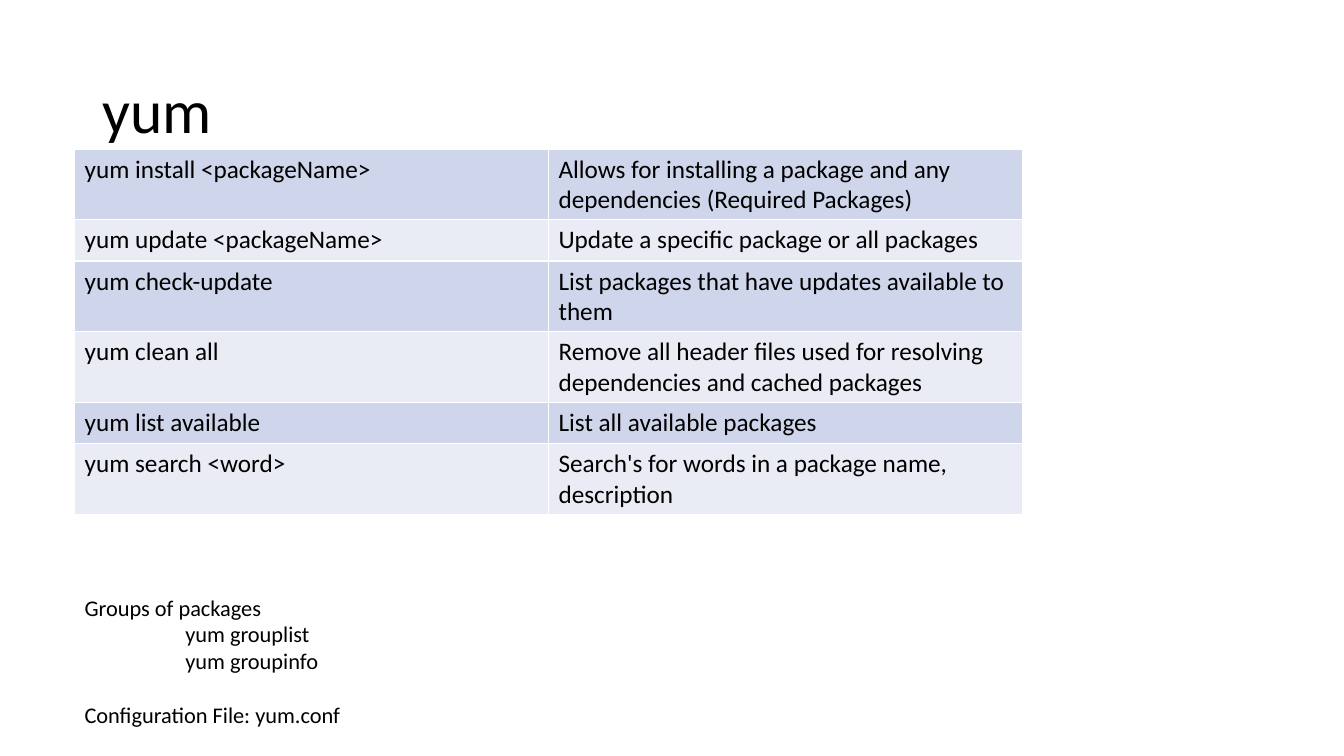
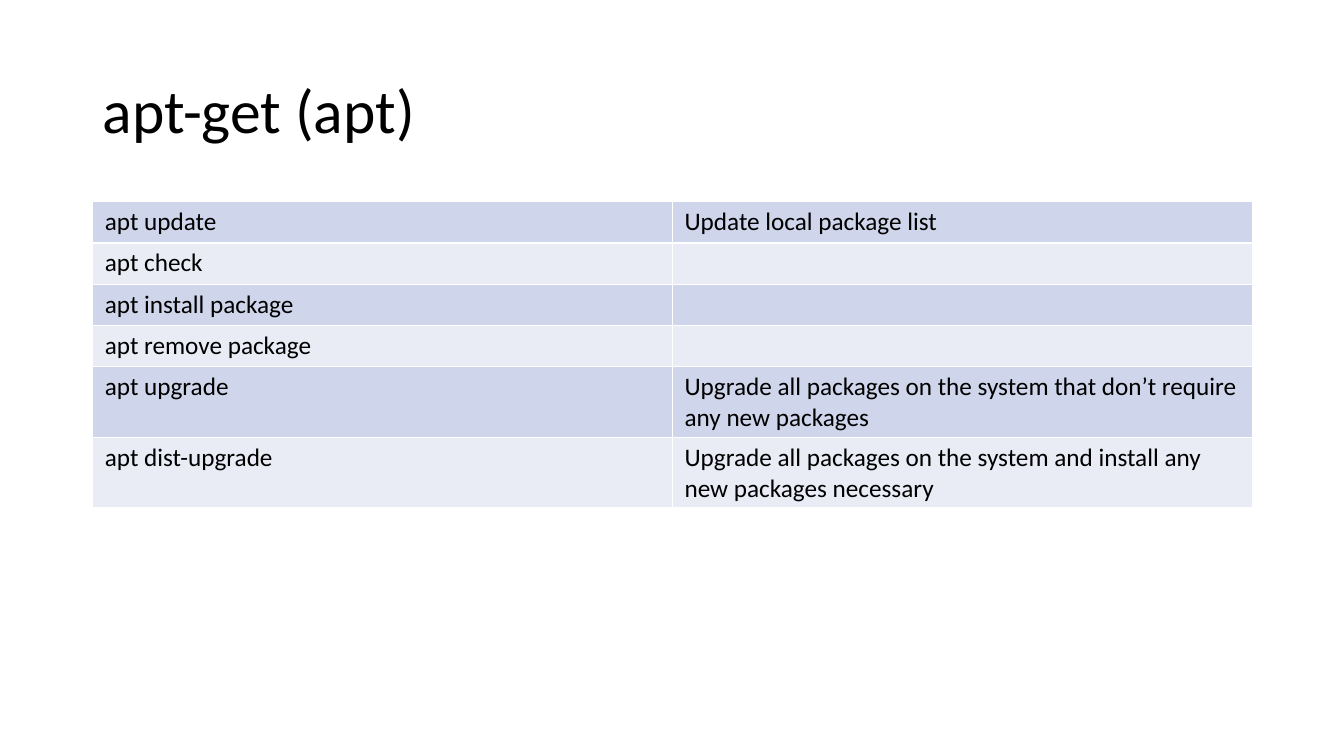
from lxml.etree import SubElement as Sub
from pptx import Presentation as Deck
from pptx.dml.color import RGBColor as Color
from pptx.enum.text import MSO_ANCHOR as Anchor
from pptx.oxml.ns import qn
from pptx.util import Pt

SCALE = 9144


def px(size):
    return size * SCALE


def tint(code):
    return Color.from_string(code)


class Page:
    font = "Calibri"
    ink = "000000"
    rule = "FFFFFF"
    bands = ("CFD5EA", "E9EBF5")
    row = 41

    def __init__(self):
        self.deck = Deck()
        self.deck.slide_width = px(1333)
        self.deck.slide_height = px(750)
        self.slide = None

    def add(self, title):
        self.slide = self.deck.slides.add_slide(self.deck.slide_layouts[6])
        frame = self.box(92, 40, 1150, 145)
        frame.vertical_anchor = Anchor.MIDDLE
        para = frame.paragraphs[0]
        para.line_spacing = 0.9
        self.run(para, title, 44)

    def box(self, *area):
        frame = self.slide.shapes.add_textbox(*map(px, area)).text_frame
        frame.word_wrap = True
        return frame

    def run(self, para, text, size):
        run = para.add_run()
        run.text = text
        run.font.name = self.font
        run.font.size = Pt(size)
        run.font.color.rgb = tint(self.ink)

    def notes(self, area, lines, size):
        frame = self.box(*area)
        for num, (text, indent, gap) in enumerate(lines):
            para = frame.add_paragraph() if num else frame.paragraphs[0]
            if indent:
                para._p.get_or_add_pPr().set("marL", str(px(indent)))
            if gap:
                para.space_before = Pt(gap)
            self.run(para, text, size)

    def edge(self, cell):
        props = cell._tc.get_or_add_tcPr()
        for side in ("lnL", "lnR", "lnT", "lnB"):
            line = Sub(props, qn("a:" + side), w=str(Pt(1)))
            fill = Sub(line, qn("a:solidFill"))
            Sub(fill, qn("a:srgbClr"), val=self.rule)

    def table(self, left, top, width, rows, inset=10):
        size = (px(left), px(top), px(width), px(self.row * len(rows)))
        grid = self.slide.shapes.add_table(len(rows), 2, *size).table
        grid.first_row = False
        for num, texts in enumerate(rows):
            for cell, text in zip(grid.rows[num].cells, texts):
                cell.margin_left = cell.margin_right = px(inset)
                self.edge(cell)
                cell.fill.solid()
                cell.fill.fore_color.rgb = tint(self.bands[num % 2])
                para = cell.text_frame.paragraphs[0]
                if text:
                    self.run(para, text, 18)
                else:
                    para.font.size = Pt(18)


def main():
    page = Page()

    page.add("yum")
    page.table(74, 148, 940, [
        ("yum install <packageName>",
         "Allows for installing a package and any dependencies (Required Packages)"),
        ("yum update <packageName>", "Update a specific package or all packages"),
        ("yum check-update", "List packages that have updates available to them"),
        ("yum clean all",
         "Remove all header files used for resolving dependencies and cached packages"),
        ("yum list available", "List all available packages"),
        ("yum search <word>", "Search's for words in a package name, description"),
    ])
    page.notes((74, 584, 407, 148), [
        ("Groups of packages", 0, 0),
        ("yum grouplist", 100, 0),
        ("yum groupinfo", 100, 0),
        ("Configuration File: yum.conf", 0, 19.5),
    ], 16)

    page.add("apt-get (apt)")
    page.table(92, 200, 1150, [
        ("apt update", "Update local package list"),
        ("apt check", ""),
        ("apt install package", ""),
        ("apt remove package", ""),
        ("apt upgrade",
         "Upgrade all packages on the system that don’t require any new packages"),
        ("apt dist-upgrade",
         "Upgrade all packages on the system and install any new packages necessary"),
    ], inset=12)

    page.deck.save("out.pptx")


if __name__ == "__main__":
    main()
